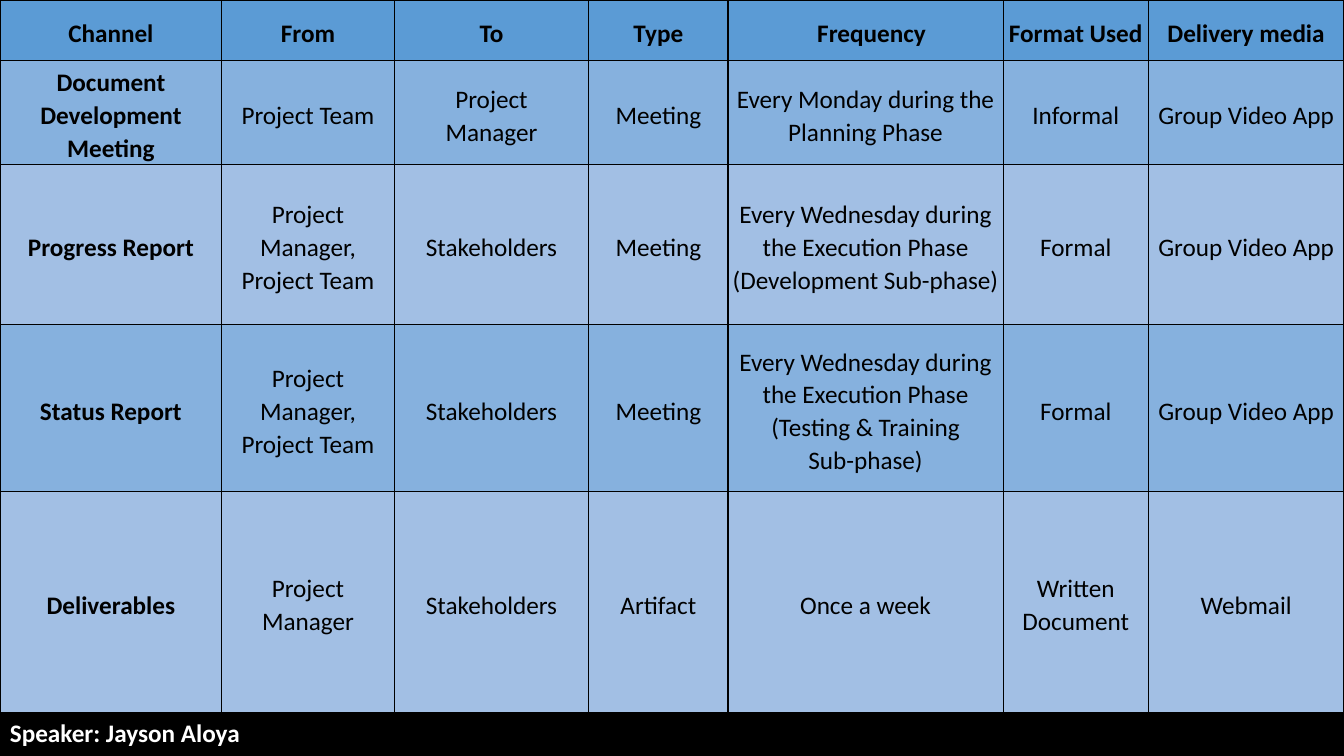
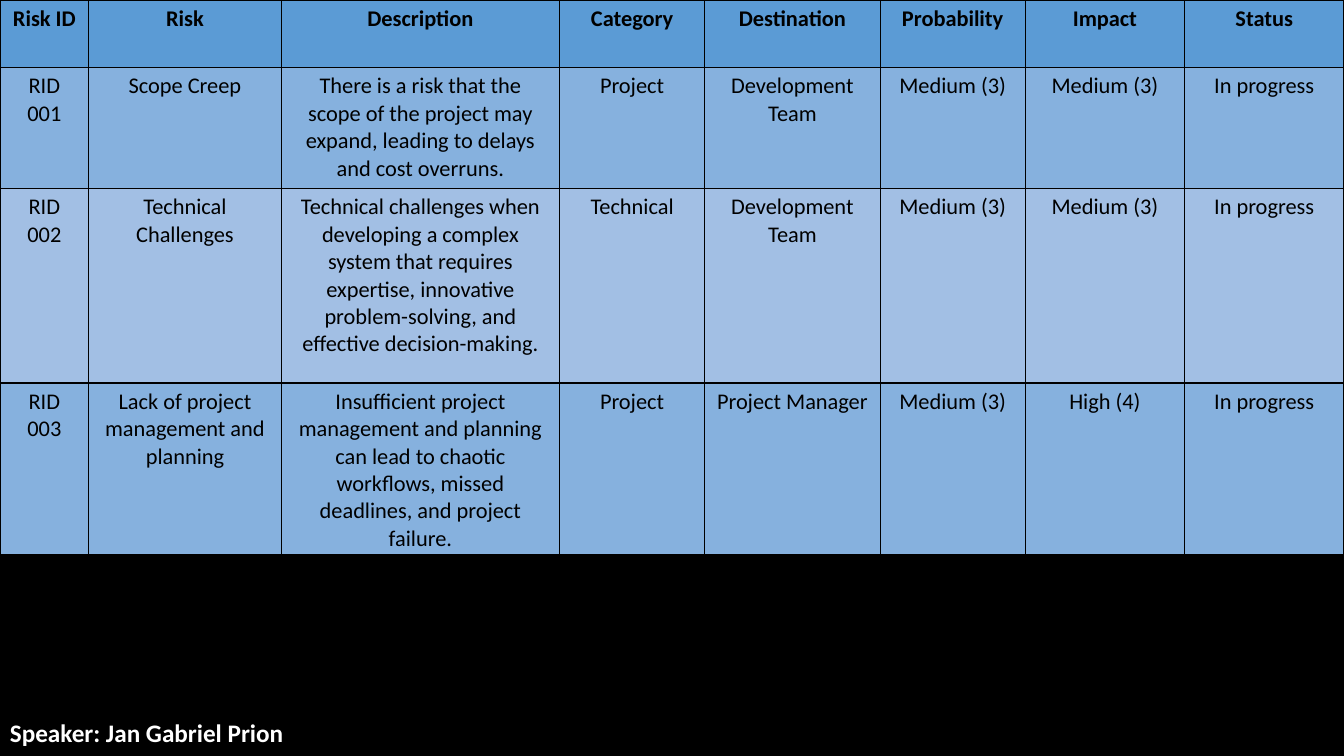
"""Build two table slides: a communication plan and a risk register."""
from lxml import etree
from pptx import Presentation
from pptx.dml.color import RGBColor
from pptx.enum.shapes import MSO_SHAPE
from pptx.enum.text import MSO_ANCHOR, PP_ALIGN
from pptx.oxml.ns import qn
from pptx.util import Inches, Pt

RECTANGLE = MSO_SHAPE.RECTANGLE
CENTER = PP_ALIGN.CENTER
TOP, MIDDLE = MSO_ANCHOR.TOP, MSO_ANCHOR.MIDDLE
FONT = "Calibri"
BLACK, WHITE = "000000", "FFFFFF"
HEADER_BLUE = "5B9BD5"
BAND_BLUES = ["86B1DE", "A2BFE4"]
BORDER_TAGS = ["a:lnL", "a:lnR", "a:lnT", "a:lnB"]

VIDEO_APP = "Group Video App"
communication_rows = [
    ["Channel", "From", "To", "Type", "Frequency", "Format Used", "Delivery media"],
    ["Document Development Meeting", "Project Team", "Project\nManager", "Meeting",
     "Every Monday during the Planning Phase", "Informal", VIDEO_APP],
    ["Progress Report", "Project Manager, Project Team", "Stakeholders", "Meeting",
     "Every Wednesday during the Execution Phase (Development Sub-phase)",
     "Formal", VIDEO_APP],
    ["Status Report", "Project Manager, Project Team", "Stakeholders", "Meeting",
     "Every Wednesday during the Execution Phase (Testing & Training\nSub-phase)",
     "Formal", VIDEO_APP],
    ["Deliverables", "Project\nManager", "Stakeholders", "Artifact", "Once a week",
     "Written\nDocument", "Webmail"],
]
risk_rows = [
    ["Risk ID", "Risk", "Description", "Category", "Destination", "Probability",
     "Impact", "Status"],
    ["RID 001", "Scope Creep",
     "There is a risk that the scope of the project may expand, leading to delays "
     "and cost overruns.",
     "Project", "Development Team", "Medium (3)", "Medium (3)", "In progress"],
    ["RID 002", "Technical Challenges",
     "Technical challenges when developing a complex system that requires expertise, "
     "innovative problem-solving, and effective decision-making.",
     "Technical", "Development Team", "Medium (3)", "Medium (3)", "In progress"],
    ["RID 003", "Lack of project management and planning",
     "Insufficient project management and planning can lead to chaotic workflows, "
     "missed deadlines, and project failure.",
     "Project", "Project Manager", "Medium (3)", "High (4)", "In progress"],
]
table_slides = [
    {"rows": communication_rows, "speaker": "Jayson Aloya",
     "widths": [2.2, 1.71, 1.93, 1.38, 2.73, 1.44, 1.94],
     "heights": [0.6, 1, 1.59, 1.66, 2.19],
     "size": 18, "anchor": MIDDLE, "spacing": 1.07,
     "margins": [0, 0.05, 0, 0], "bold_first_column": True},
    {"rows": risk_rows, "speaker": "Jan Gabriel Prion",
     "widths": [0.88, 1.91, 2.76, 1.44, 1.74, 1.44, 1.58, 1.58],
     "heights": [0.67, 1.2, 1.93, 1.7],
     "size": 16, "anchor": TOP, "spacing": 1.0,
     "margins": [0.1, 0.05, 0.1, 0.05], "bold_first_column": False},
]


def color(hex_value):
    return RGBColor.from_string(hex_value)


def style_font(font, size, hex_value, bold):
    font.name = FONT
    font.size = Pt(size)
    font.bold = bold
    font.color.rgb = color(hex_value)


presentation = Presentation()
presentation.slide_width = Inches(13.33)
presentation.slide_height = Inches(7.5)
blank_layout = presentation.slide_layouts[6]

for content in table_slides:
    slide = presentation.slides.add_slide(blank_layout)

    backdrop = slide.shapes.add_shape(
        RECTANGLE, 0, 0, presentation.slide_width, presentation.slide_height)
    backdrop.shadow.inherit = False
    backdrop.fill.solid()
    backdrop.fill.fore_color.rgb = color(BLACK)
    backdrop.line.fill.background()

    widths, heights = content["widths"], content["heights"]
    table = slide.shapes.add_table(
        len(heights), len(widths), 0, 0,
        Inches(sum(widths)), Inches(sum(heights))).table
    table.horz_banding = False
    for column, width in zip(table.columns, widths):
        column.width = Inches(width)
    for row, height in zip(table.rows, heights):
        row.height = Inches(height)

    for row_index, row_texts in enumerate(content["rows"]):
        is_header = row_index == 0
        row_fill = HEADER_BLUE if is_header else BAND_BLUES[(row_index - 1) % 2]
        for column_index, cell_text in enumerate(row_texts):
            cell = table.cell(row_index, column_index)
            cell.text_frame.text = cell_text
            cell.vertical_anchor = content["anchor"]
            (cell.margin_left, cell.margin_top,
             cell.margin_right, cell.margin_bottom) = map(Inches, content["margins"])
            if cell_text == "Frequency":
                cell.margin_left = Inches(0.12)

            cell_properties = cell._tc.get_or_add_tcPr()
            for tag in BORDER_TAGS:
                border = etree.SubElement(cell_properties, qn(tag), w=str(Pt(1)))
                border_fill = etree.SubElement(border, qn("a:solidFill"))
                etree.SubElement(border_fill, qn("a:srgbClr"), val=BLACK)
            cell.fill.solid()
            cell.fill.fore_color.rgb = color(row_fill)

            bold = is_header or (column_index == 0 and content["bold_first_column"])
            for paragraph in cell.text_frame.paragraphs:
                paragraph.alignment = CENTER
                paragraph.line_spacing = content["spacing"]
                for run in paragraph.runs:
                    style_font(run.font, content["size"], BLACK, bold)

    speaker_box = slide.shapes.add_textbox(0, Inches(7.07), Inches(3), Inches(0.4))
    speaker_box.text_frame.word_wrap = True
    speaker_box.text_frame.text = f"Speaker: {content['speaker']}"
    style_font(speaker_box.text_frame.paragraphs[0].runs[0].font, 18, WHITE, True)

presentation.save("out.pptx")
